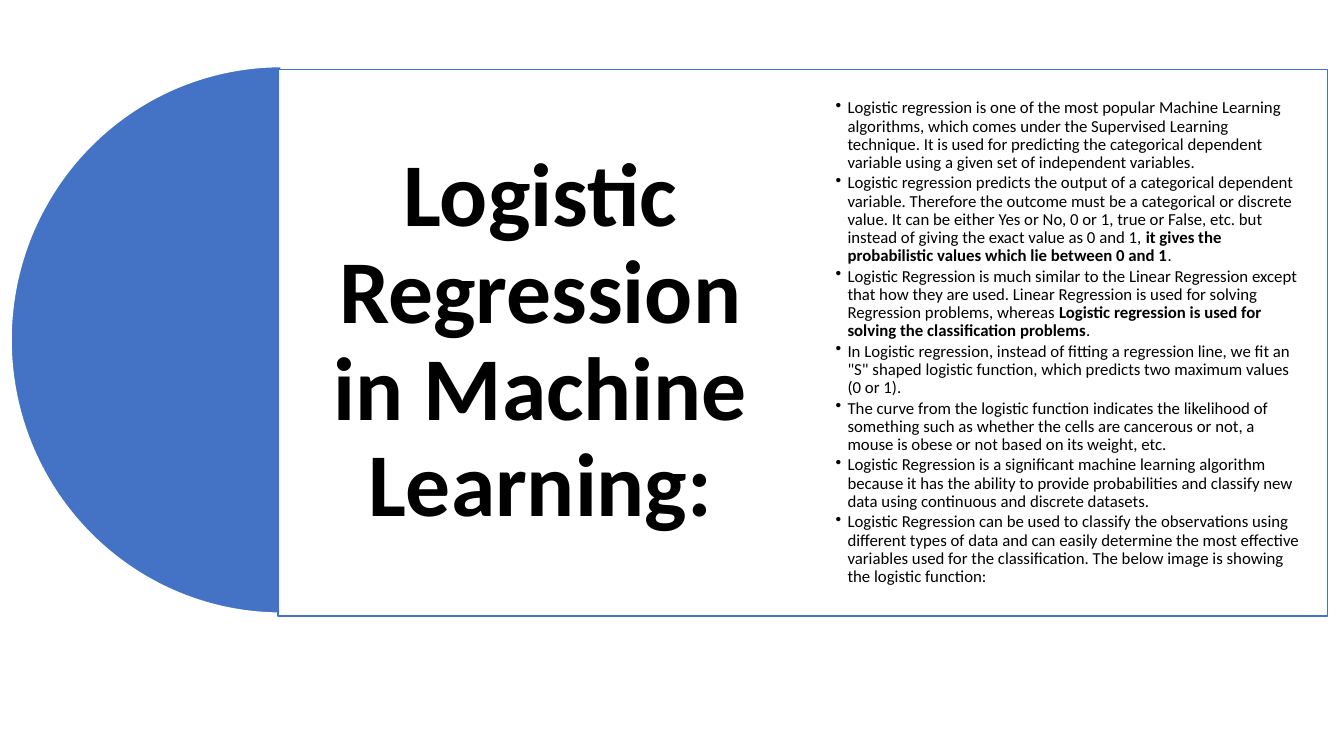
from dataclasses import dataclass

from lxml.etree import SubElement
from pptx import Presentation
from pptx.dml.color import RGBColor
from pptx.enum.shapes import MSO_SHAPE as Preset
from pptx.enum.text import MSO_ANCHOR as Anchor, PP_ALIGN as Align
from pptx.oxml.ns import qn
from pptx.util import Cm, Pt

TITLE = "Logistic Regression in Machine Learning:"

# Each point is a list of (words, bold) pieces.
POINTS = [
    [("Logistic regression is one of the most popular Machine Learning algorithms, which comes "
      "under the Supervised Learning technique. It is used for predicting the categorical "
      "dependent variable using a given set of independent variables.", False)],
    [("Logistic regression predicts the output of a categorical dependent variable. Therefore "
      "the outcome must be a categorical or discrete value. It can be either Yes or No, 0 or 1, "
      "true or False, etc. but instead of giving the exact value as 0 and 1, ", False),
     ("it gives the probabilistic values which lie between 0 and 1", True),
     (".", False)],
    [("Logistic Regression is much similar to the Linear Regression except that how they are "
      "used. Linear Regression is used for solving Regression problems, whereas ", False),
     ("Logistic regression is used for solving the classification problems", True),
     (".", False)],
    [("In Logistic regression, instead of fitting a regression line, we fit an \"S\" shaped "
      "logistic function, which predicts two maximum values (0 or 1).", False)],
    [("The curve from the logistic function indicates the likelihood of something such as "
      "whether the cells are cancerous or not, a mouse is obese or not based on its weight, "
      "etc.", False)],
    [("Logistic Regression is a significant machine learning algorithm because it has the "
      "ability to provide probabilities and classify new data using continuous and discrete "
      "datasets.", False)],
    [("Logistic Regression can be used to classify the observations using different types of "
      "data and can easily determine the most effective variables used for the classification. "
      "The below image is showing the logistic function:", False)],
]


@dataclass(frozen=True)
class Theme:
    font: str = "Calibri"
    title_size: float = 64
    point_size: float = 12
    accent: RGBColor = RGBColor(0x44, 0x72, 0xC4)
    paper: RGBColor = RGBColor(0xFF, 0xFF, 0xFF)
    ink: RGBColor = RGBColor(0x00, 0x00, 0x00)


THEME = Theme()

# Centimetres
PANEL_LEFT, PANEL_TOP, PANEL_WIDTH, PANEL_HEIGHT = 7.01, 1.75, 26.44, 13.77
HALF_DISC_LEFT, HALF_DISC_TOP, HALF_DISC_WIDTH = 0.28, 1.68, 13.61
COLUMN_WIDTH, POINTS_LEFT = 13.21, 20.37
INSET, BULLET_INDENT = 0.69, 0.3
LINE_SPACING, POINT_GAP = 0.9, 0.15


def add_preset(slide, preset, left, top, width, height, fill, line):
    shape = slide.shapes.add_shape(preset, Cm(left), Cm(top), Cm(width), Cm(height))
    shape.shadow.inherit = False
    shape.fill.solid()
    shape.fill.fore_color.rgb = fill
    shape.line.color.rgb = line
    shape.line.width = Pt(1)
    return shape


def set_opacity(shape, percent):
    color = shape.fill._xPr.find(qn("a:solidFill"))[0]
    SubElement(color, qn("a:alpha"), val=str(percent * 1000))


def add_bullet(paragraph):
    properties = paragraph._p.get_or_add_pPr()
    indent = Cm(BULLET_INDENT)
    properties.set("marL", str(indent))
    properties.set("indent", str(-indent))
    SubElement(properties, qn("a:buChar"), char="•")


def add_text(slide, left, paragraphs, *, size, align=Align.LEFT, bulleted=False, gap=0):
    """Fill one column of the panel; gap is a share of the type size."""
    column = slide.shapes.add_textbox(
        Cm(left), Cm(PANEL_TOP), Cm(COLUMN_WIDTH), Cm(PANEL_HEIGHT))
    frame = column.text_frame
    frame.word_wrap = True
    frame.vertical_anchor = Anchor.MIDDLE
    frame.margin_left = frame.margin_right = Cm(INSET)
    frame.margin_top = frame.margin_bottom = Cm(INSET)
    for index, pieces in enumerate(paragraphs):
        paragraph = frame.add_paragraph() if index else frame.paragraphs[0]
        if bulleted:
            add_bullet(paragraph)
        paragraph.alignment = align
        paragraph.line_spacing = LINE_SPACING
        paragraph.space_after = Pt(size * gap)
        for words, bold in pieces:
            run = paragraph.add_run()
            run.text = words
            run.font.name = THEME.font
            run.font.size = Pt(size)
            run.font.bold = bold
            run.font.color.rgb = THEME.ink


def main():
    deck = Presentation()
    deck.slide_width, deck.slide_height = Cm(33.87), Cm(19.05)
    slide = deck.slides.add_slide(deck.slide_layouts[6])

    half_disc = add_preset(slide, Preset.PIE, HALF_DISC_LEFT, HALF_DISC_TOP, HALF_DISC_WIDTH,
                           PANEL_HEIGHT, THEME.accent, THEME.paper)
    # Angles from 90 to 270 degrees, in units of 100000/60000 degree
    half_disc.adjustments[0], half_disc.adjustments[1] = 54, 162

    panel = add_preset(slide, Preset.RECTANGLE, PANEL_LEFT, PANEL_TOP, PANEL_WIDTH,
                       PANEL_HEIGHT, THEME.paper, THEME.accent)
    set_opacity(panel, 90)

    add_text(slide, PANEL_LEFT, [[(TITLE, True)]], size=THEME.title_size, align=Align.CENTER)
    add_text(slide, POINTS_LEFT, POINTS, size=THEME.point_size, bulleted=True, gap=POINT_GAP)

    deck.save("out.pptx")


if __name__ == "__main__":
    main()
